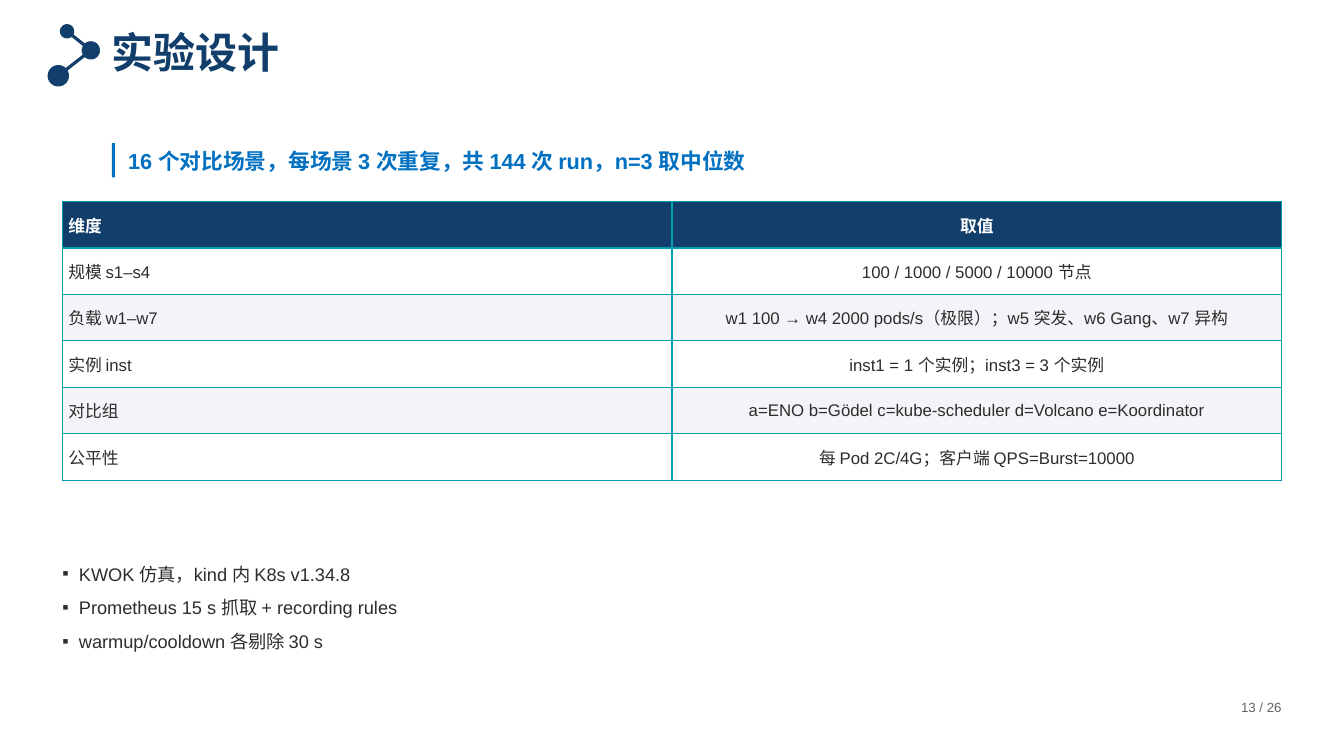
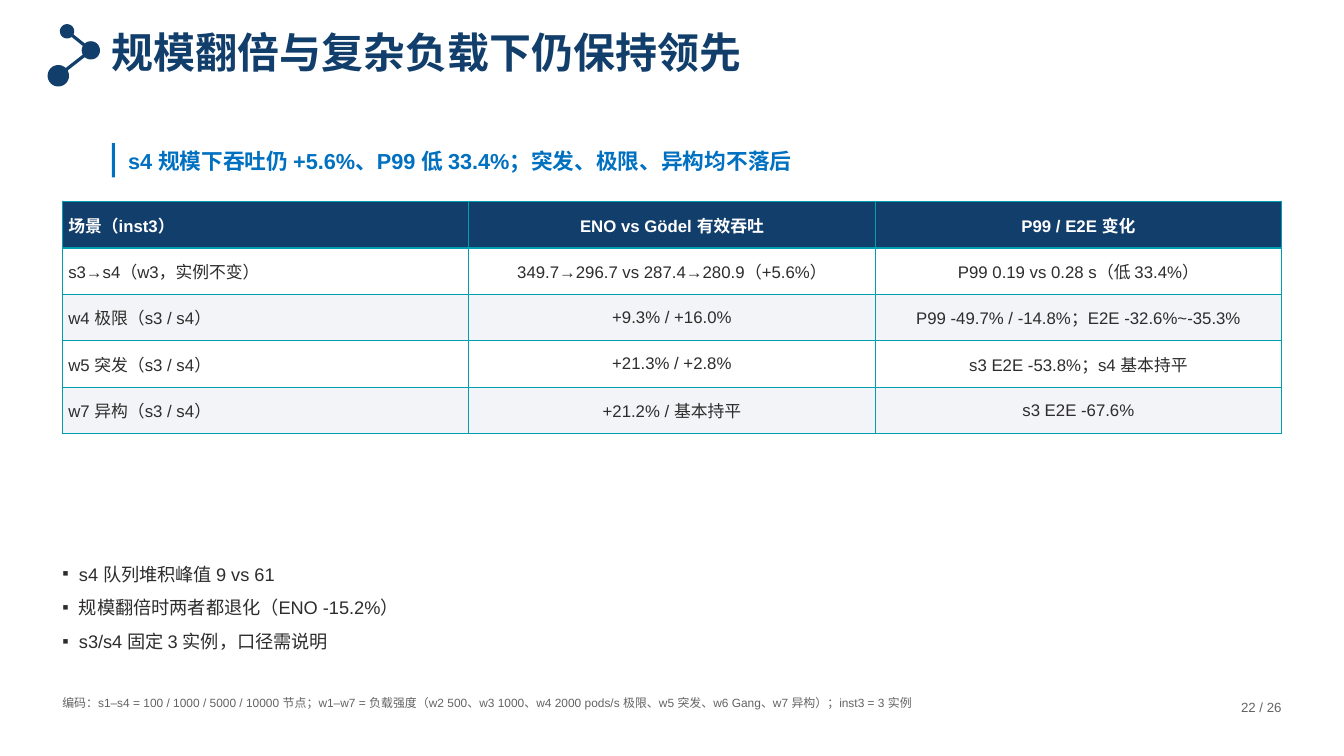
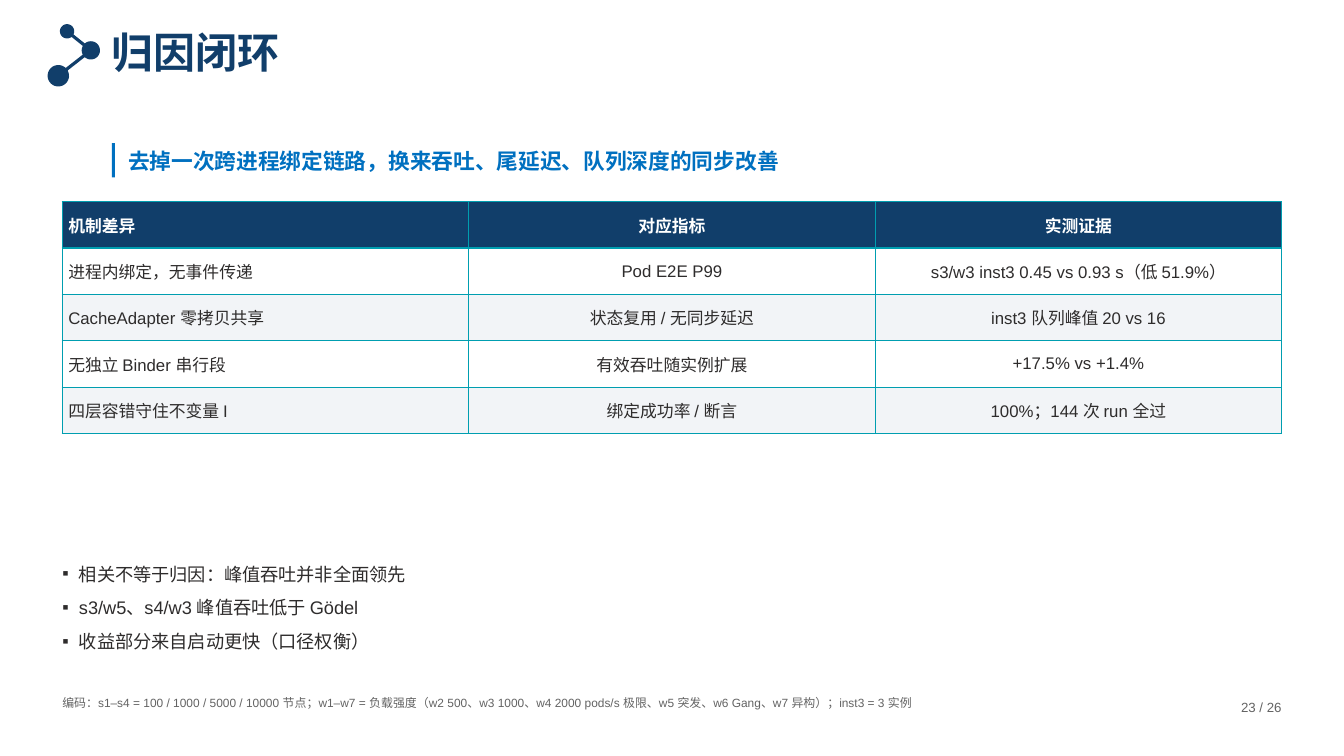
import math
from dataclasses import dataclass
from typing import Any

import lxml.etree
import pptx
import pptx.dml.color
import pptx.enum.shapes
import pptx.enum.text
import pptx.oxml.ns
import pptx.util

Cm = pptx.util.Cm
Pt = pptx.util.Pt
RGBColor = pptx.dml.color.RGBColor
Align = pptx.enum.text.PP_ALIGN
Anchor = pptx.enum.text.MSO_ANCHOR
qn = pptx.oxml.ns.qn

NAVY = RGBColor(0x11, 0x3E, 0x6A)
BLUE = RGBColor(0x00, 0x70, 0xC0)
TEAL = RGBColor(0x00, 0x9E, 0xB0)
INK = RGBColor(0x2E, 0x2C, 0x2C)
GREY = RGBColor(0x63, 0x63, 0x63)
PALE = RGBColor(0xF2, 0xF4, 0xF7)
WHITE = RGBColor(0xFF, 0xFF, 0xFF)

LEFT = 1.57
WIDTH = 30.73
ROW = 1.17
TOTAL = 26


@dataclass(frozen=True)
class Style:
    size: float
    color: RGBColor
    bold: bool = False
    align: Any = Align.LEFT


@dataclass(frozen=True)
class Box:
    x: float
    y: float
    w: float
    h: float


@dataclass(frozen=True)
class Node:
    x: float
    y: float
    r: float


@dataclass(frozen=True)
class Page:
    number: int
    title: str
    claim: str
    rows: list[list[str]]
    points: list[str]
    note: str = ""


TITLE = Style(30, NAVY, True)
CLAIM = Style(15.5, BLUE, True)
POINT = Style(13, INK)
NOTE = Style(8.5, GREY)
FOOT = Style(9.5, GREY, align=Align.RIGHT)

CODES = (
    "编码：s1–s4 = 100 / 1000 / 5000 / 10000 节点；"
    "w1–w7 = 负载强度（w2 500、w3 1000、w4 2000 pods/s 极限、w5 突发、w6 Gang、w7 异构）；"
    "inst3 = 3 实例"
)

PAGES = [
    Page(
        13,
        "实验设计",
        "16 个对比场景，每场景 3 次重复，共 144 次 run，n=3 取中位数",
        [
            ["维度", "取值"],
            ["规模 s1–s4", "100 / 1000 / 5000 / 10000 节点"],
            ["负载 w1–w7", "w1 100 → w4 2000 pods/s（极限）；w5 突发、w6 Gang、w7 异构"],
            ["实例 inst", "inst1 = 1 个实例；inst3 = 3 个实例"],
            ["对比组", "a=ENO b=Gödel c=kube-scheduler d=Volcano e=Koordinator"],
            ["公平性", "每 Pod 2C/4G；客户端 QPS=Burst=10000"],
        ],
        [
            "KWOK 仿真，kind 内 K8s v1.34.8",
            "Prometheus 15 s 抓取 + recording rules",
            "warmup/cooldown 各剔除 30 s",
        ],
    ),
    Page(
        22,
        "规模翻倍与复杂负载下仍保持领先",
        "s4 规模下吞吐仍 +5.6%、P99 低 33.4%；突发、极限、异构均不落后",
        [
            ["场景（inst3）", "ENO vs Gödel 有效吞吐", "P99 / E2E 变化"],
            ["s3→s4（w3，实例不变）", "349.7→296.7 vs 287.4→280.9（+5.6%）",
             "P99 0.19 vs 0.28 s（低 33.4%）"],
            ["w4 极限（s3 / s4）", "+9.3% / +16.0%", "P99 -49.7% / -14.8%；E2E -32.6%~-35.3%"],
            ["w5 突发（s3 / s4）", "+21.3% / +2.8%", "s3 E2E -53.8%；s4 基本持平"],
            ["w7 异构（s3 / s4）", "+21.2% / 基本持平", "s3 E2E -67.6%"],
        ],
        [
            "s4 队列堆积峰值 9 vs 61",
            "规模翻倍时两者都退化（ENO -15.2%）",
            "s3/s4 固定 3 实例，口径需说明",
        ],
        CODES,
    ),
    Page(
        23,
        "归因闭环",
        "去掉一次跨进程绑定链路，换来吞吐、尾延迟、队列深度的同步改善",
        [
            ["机制差异", "对应指标", "实测证据"],
            ["进程内绑定，无事件传递", "Pod E2E P99", "s3/w3 inst3 0.45 vs 0.93 s（低 51.9%）"],
            ["CacheAdapter 零拷贝共享", "状态复用 / 无同步延迟", "inst3 队列峰值 20 vs 16"],
            ["无独立 Binder 串行段", "有效吞吐随实例扩展", "+17.5% vs +1.4%"],
            ["四层容错守住不变量 I", "绑定成功率 / 断言", "100%；144 次 run 全过"],
        ],
        [
            "相关不等于归因：峰值吞吐并非全面领先",
            "s3/w5、s4/w3 峰值吞吐低于 Gödel",
            "收益部分来自启动更快（口径权衡）",
        ],
        CODES,
    ),
]


def write(para: Any, text: str, style: Style) -> None:
    para.alignment = style.align
    run = para.add_run()
    run.text = text
    run.font.name = "Arial"
    run.font.size = Pt(style.size)
    run.font.bold = style.bold
    run.font.color.rgb = style.color


def place(shape: Any, box: Box, anchor: Any) -> Any:
    shape.left, shape.top = Cm(box.x), Cm(box.y)
    shape.width, shape.height = Cm(box.w), Cm(box.h)
    frame = shape.text_frame
    frame.word_wrap = True
    frame.auto_size = pptx.enum.text.MSO_AUTO_SIZE.NONE
    frame.vertical_anchor = anchor
    frame.margin_left = frame.margin_right = 0
    frame.margin_top = frame.margin_bottom = 0
    return frame


def label(slide: Any, box: Box, text: str, style: Style, anchor: Any = Anchor.TOP) -> None:
    frame = place(slide.shapes.add_textbox(0, 0, 0, 0), box, anchor)
    write(frame.paragraphs[0], text, style)


def paint(shape: Any, color: RGBColor) -> None:
    shape.shadow.inherit = False
    shape.fill.solid()
    shape.fill.fore_color.rgb = color
    shape.line.fill.background()


def arc(node: Node, start: float, stop: float, steps: int = 32) -> list[tuple[int, int]]:
    turns = [start + (stop - start) * i / steps for i in range(steps + 1)]
    return [
        (Cm(node.x + node.r * math.cos(t)), Cm(node.y + node.r * math.sin(t)))
        for t in turns
    ]


def icon(slide: Any) -> None:
    low, mid, top = Node(1.47, 1.91, 0.27), Node(2.29, 1.27, 0.23), Node(1.69, 0.79, 0.18)
    full = 2 * math.pi

    def aim(a: Node, b: Node) -> float:
        return math.atan2(b.y - a.y, b.x - a.x) % full

    def gap(node: Node) -> float:
        return math.asin(0.04 / node.r)

    to_mid, to_low = aim(low, mid), aim(mid, low)
    to_top, back = aim(mid, top), aim(top, mid)
    dots = (
        arc(low, to_mid - full + gap(low), to_mid - gap(low))
        + arc(mid, to_low + gap(mid), to_top - gap(mid))
        + arc(top, back + gap(top), back + full - gap(top))
        + arc(mid, to_top + gap(mid), to_low + full - gap(mid))
    )
    pen = slide.shapes.build_freeform(*dots[0], scale=1.0)
    pen.add_line_segments(dots[1:], close=True)
    paint(pen.convert_to_shape(), NAVY)


def edge(cell: Any) -> None:
    props = cell._tc.get_or_add_tcPr()
    for side in ("a:lnL", "a:lnR", "a:lnT", "a:lnB"):
        line = lxml.etree.SubElement(props, qn(side), w=str(Pt(1)))
        fill = lxml.etree.SubElement(line, qn("a:solidFill"))
        lxml.etree.SubElement(fill, qn("a:srgbClr"), val=str(TEAL))


def grid(slide: Any, rows: list[list[str]]) -> None:
    count = len(rows[0])
    table = slide.shapes.add_table(
        len(rows), count, Cm(LEFT), Cm(5.08), Cm(WIDTH), Cm(ROW * len(rows))
    ).table
    table.horz_banding = False
    for col in table.columns:
        col.width = Cm(WIDTH / count)
    for i, row in enumerate(rows):
        table.rows[i].height = Cm(ROW)
        head = i == 0
        back = NAVY if head else WHITE if i % 2 else PALE
        for j, text in enumerate(row):
            cell = table.cell(i, j)
            edge(cell)
            cell.fill.solid()
            cell.fill.fore_color.rgb = back
            cell.vertical_anchor = Anchor.MIDDLE
            cell.margin_left = cell.margin_right = Cm(0.15)
            cell.margin_top = cell.margin_bottom = Cm(0.05)
            align = Align.CENTER if j else Align.LEFT
            style = Style(12, WHITE if head else INK, head, align)
            write(cell.text_frame.paragraphs[0], text, style)


def bullets(shape: Any, points: list[str]) -> None:
    frame = place(shape, Box(LEFT, 14.1, 30.48, 2.67), Anchor.TOP)
    for i, text in enumerate(points):
        para = frame.add_paragraph() if i else frame.paragraphs[0]
        props = para._p.get_or_add_pPr()
        props.set("marL", str(Cm(0.42)))
        props.set("indent", str(-Cm(0.42)))
        lxml.etree.SubElement(props, qn("a:buFont"), typeface="Arial")
        lxml.etree.SubElement(props, qn("a:buChar"), char="▪")
        para.line_spacing = 1.15
        para.space_before = Pt(6 if i else 0)
        write(para, text, POINT)


def build(deck: Any, page: Page) -> None:
    slide = deck.slides.add_slide(deck.slide_layouts[1])
    icon(slide)
    frame = place(slide.shapes.title, Box(2.82, 0.43, 22.23, 1.73), Anchor.MIDDLE)
    write(frame.paragraphs[0], page.title, TITLE)
    bar = slide.shapes.add_shape(
        pptx.enum.shapes.MSO_SHAPE.RECTANGLE, Cm(2.82), Cm(3.61), Cm(0.08), Cm(0.86)
    )
    paint(bar, BLUE)
    label(slide, Box(3.23, 3.53, 28.45, 1.07), page.claim, CLAIM, Anchor.MIDDLE)
    grid(slide, page.rows)
    bullets(slide.placeholders[1], page.points)
    if page.note:
        label(slide, Box(LEFT, 17.53, 28.07, 0.56), page.note, NOTE)
    label(slide, Box(29.94, 17.63, 2.36, 0.61), f"{page.number} / {TOTAL}", FOOT)


def main() -> None:
    deck = pptx.Presentation()
    deck.slide_width, deck.slide_height = Cm(33.87), Cm(19.05)
    for page in PAGES:
        build(deck, page)
    deck.save("out.pptx")


if __name__ == "__main__":
    main()
